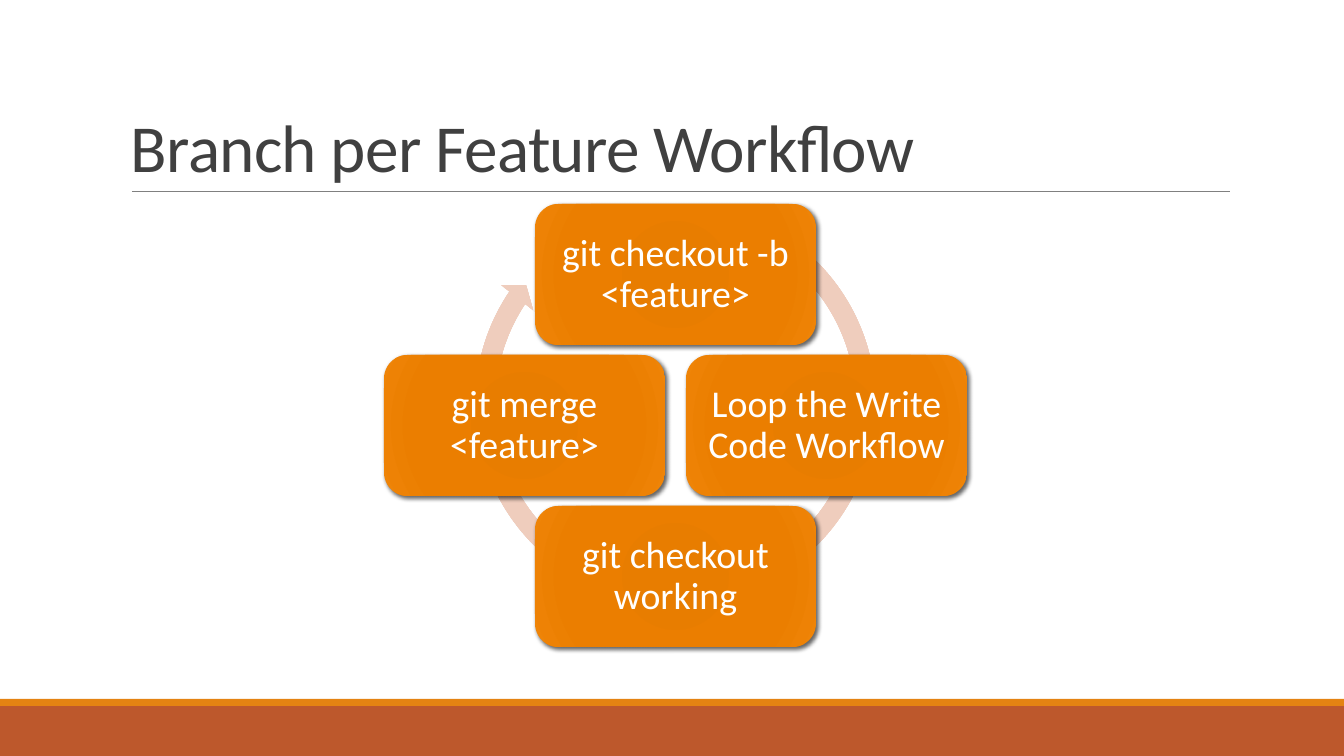
"""Builds the slide "Branch per Feature Workflow": a cycle of four git steps."""
from pptx import Presentation
from pptx.dml.color import RGBColor
from pptx.enum.shapes import MSO_CONNECTOR, MSO_SHAPE
from pptx.enum.text import MSO_ANCHOR, PP_ALIGN
from pptx.oxml import parse_xml
from pptx.oxml.ns import nsdecls
from pptx.util import Emu, Pt

RECTANGLE = MSO_SHAPE.RECTANGLE
ROUNDED = MSO_SHAPE.ROUNDED_RECTANGLE
CIRCULAR_ARROW = MSO_SHAPE.CIRCULAR_ARROW
STRAIGHT = MSO_CONNECTOR.STRAIGHT
LEFT, CENTER = PP_ALIGN.LEFT, PP_ALIGN.CENTER
BOTTOM, MIDDLE = MSO_ANCHOR.BOTTOM, MSO_ANCHOR.MIDDLE

PX = 914400 / 100.8
COLORS = {
    "footer": "BD582C",
    "stripe": "E48312",
    "rule": "808080",
    "title": "404040",
    "step_text": "FFFFFF",
    "shadow": "000000",
}
STOPS = (0, 34, 70, 100)
GRADIENTS = {
    "arrow": ("EAC8B9", "EBCABC", "EFCDBD", "F7D8CA"),
    "step": ("E57B00", "E87D00", "EB7E00", "EF8407"),
}


def add_shape(kind, left, top, width, height, color=None, gradient=None):
    box = [Emu(round(length * PX)) for length in (left, top, width, height)]
    shape = slide.shapes.add_shape(kind, *box)
    shape.shadow.inherit = False
    shape.line.fill.background()
    if color:
        shape.fill.solid()
        shape.fill.fore_color.rgb = RGBColor.from_string(COLORS[color])
    elif gradient:
        stops = "".join(
            f'<a:gs pos="{stop * 1000}"><a:srgbClr val="{value}"/></a:gs>'
            for stop, value in zip(STOPS, GRADIENTS[gradient])
        )
        shape._element.spPr.insert(2, parse_xml(
            f'<a:gradFill {nsdecls("a")} rotWithShape="1"><a:gsLst>{stops}</a:gsLst>'
            '<a:path path="circle"><a:fillToRect l="100000" t="100000" r="100000" b="100000"/>'
            '</a:path></a:gradFill>'
        ))
    return shape


def write_text(shape, text, size, color, align, anchor, line_spacing, insets, tracking=None):
    frame = shape.text_frame
    frame.word_wrap = True
    frame.vertical_anchor = anchor
    horizontal, vertical = [Emu(round(inset * PX)) for inset in insets]
    frame.margin_left = frame.margin_right = horizontal
    frame.margin_top = frame.margin_bottom = vertical
    paragraph = frame.paragraphs[0]
    paragraph.alignment = align
    paragraph.line_spacing = line_spacing
    run = paragraph.add_run()
    run.text = text
    run.font.name = "Calibri"
    run.font.size = Pt(size)
    run.font.color.rgb = RGBColor.from_string(COLORS[color])
    if tracking:
        run.font._element.set("spc", str(tracking))


presentation = Presentation()
presentation.slide_width = Emu(round(1344 * PX))
presentation.slide_height = Emu(round(756 * PX))
slide = presentation.slides.add_slide(presentation.slide_layouts[6])

add_shape(RECTANGLE, 0, 706, 1344, 50, color="footer")
add_shape(RECTANGLE, 0, 699, 1344, 7, color="stripe")

rule_ends = [Emu(round(length * PX)) for length in (132, 191, 1230, 191)]
title_rule = slide.shapes.add_connector(STRAIGHT, *rule_ends)
title_rule.line.color.rgb = RGBColor.from_string(COLORS["rule"])
title_rule.line.width = Pt(0.5)
title_rule._element.spPr.append(parse_xml(f'<a:effectLst {nsdecls("a")}/>'))

title_box = [Emu(round(length * PX)) for length in (121, 31, 1109, 160)]
title = slide.shapes.add_textbox(*title_box)
write_text(title, "Branch per Feature Workflow", size=48, color="title", align=LEFT,
           anchor=BOTTOM, line_spacing=0.85, insets=(10, 5), tracking=-50)

cycle_arrow = add_shape(CIRCULAR_ARROW, 465, 193, 421, 421, gradient="arrow")
for index, value in enumerate((0.047, 2.729, 128.261, 180.345, 0.048)):
    cycle_arrow.adjustments[index] = value

STEP_WIDTH, STEP_HEIGHT, STEP_OFFSET = 281, 141, 151
TOP_LEFT, TOP_TOP = 535, 204
STEPS = [
    ("git checkout -b <feature>", 0, 0),
    ("Loop the Write Code Workflow", 1, 1),
    ("git checkout working", 0, 2),
    ("git merge <feature>", -1, 1),
]
for text, column, row in STEPS:
    step = add_shape(ROUNDED, TOP_LEFT + column * STEP_OFFSET, TOP_TOP + row * STEP_OFFSET,
                     STEP_WIDTH, STEP_HEIGHT, gradient="step")
    effects = step._element.spPr[-1]
    effects.append(parse_xml(
        f'<a:outerShdw {nsdecls("a")} blurRad="{Pt(3)}" dist="{Pt(2)}" dir="2700000"'
        f' rotWithShape="0"><a:srgbClr val="{COLORS["shadow"]}"><a:alpha val="60000"/>'
        '</a:srgbClr></a:outerShdw>'
    ))
    write_text(step, text, size=27, color="step_text", align=CENTER, anchor=MIDDLE,
               line_spacing=0.9, insets=(11, 11))

presentation.save("out.pptx")
